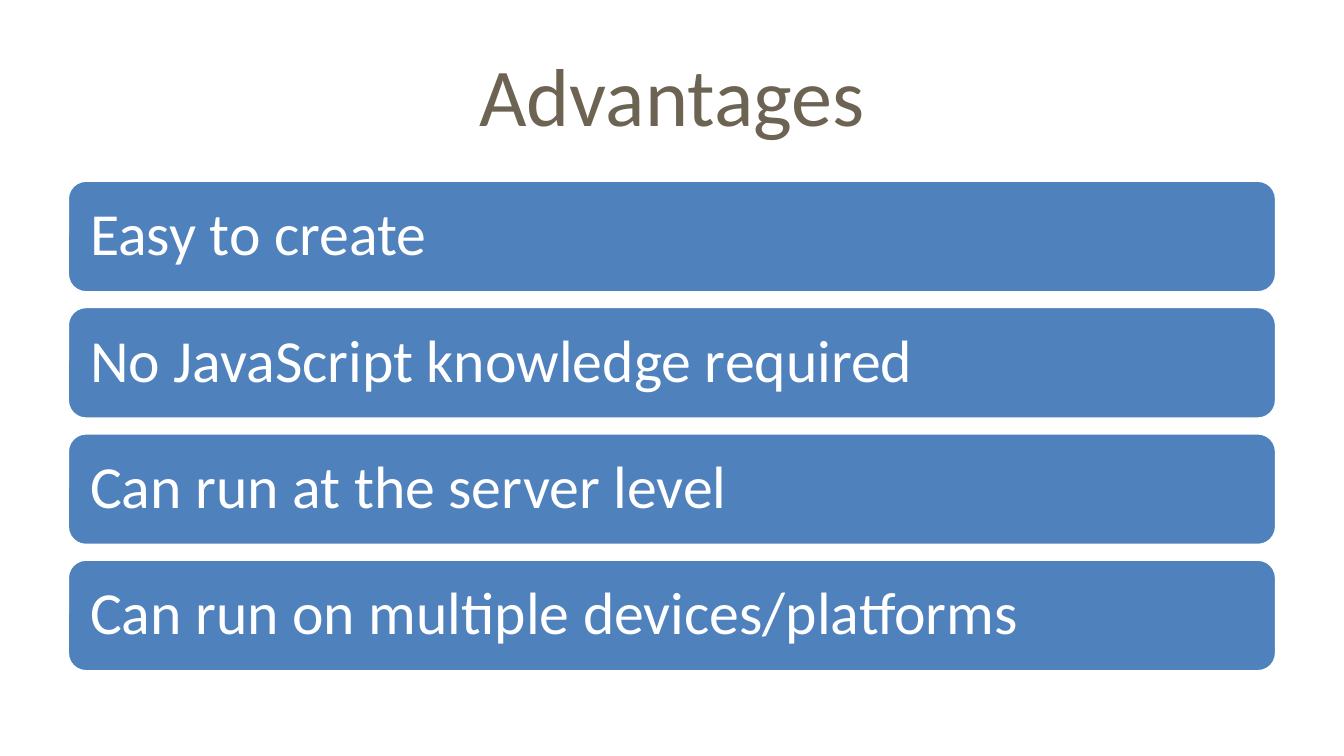
"""Build the Advantages slide: a title above four stacked bars."""
from dataclasses import dataclass

from pptx import Presentation
from pptx.dml.color import RGBColor
from pptx.enum.shapes import MSO_SHAPE
from pptx.enum.text import MSO_ANCHOR, PP_ALIGN
from pptx.util import Emu, Pt

FONT = "Calibri"
WHITE, BLUE, BROWN = "FFFFFF", "4F81BD", "6C6352"
LEFT, WIDTH = 100, 1800
TOP, HIGH, STEP = 268, 168, 188
INSET = 26
LINES = (
    "Easy to create",
    "No JavaScript knowledge required",
    "Can run at the server level",
    "Can run on multiple devices/platforms",
)


@dataclass(frozen=True)
class Bar:
    """A labelled bar and its top edge in px."""

    text: str
    top: int


def px(count: int) -> Emu:
    """Turn px, at 200 to the inch, into EMU."""
    return Emu(count * 4572)


def color(code: str) -> RGBColor:
    """Turn a hex string into a colour."""
    return RGBColor.from_string(code)


def write(shape, text: str, size: int, code: str, align: PP_ALIGN):
    """Set one vertically centred line of text and return its paragraph."""
    frame = shape.text_frame
    frame.word_wrap = True
    frame.vertical_anchor = MSO_ANCHOR.MIDDLE
    frame.text = text
    para = frame.paragraphs[0]
    para.alignment = align
    para.font.name = FONT
    para.font.size = Pt(size)
    para.font.color.rgb = color(code)
    return para


def add_title(slide, text: str) -> None:
    """Place and fill the title placeholder."""
    title = slide.shapes.title
    title.left, title.top = px(LEFT), px(46)
    title.width, title.height = px(WIDTH), px(188)
    write(title, text, 44, BROWN, PP_ALIGN.CENTER)


def add_bar(slide, bar: Bar) -> None:
    """Draw one rounded bar with its label."""
    shape = slide.shapes.add_shape(
        MSO_SHAPE.ROUNDED_RECTANGLE, px(LEFT), px(bar.top), px(WIDTH), px(HIGH)
    )
    shape.shadow.inherit = False
    shape.fill.solid()
    shape.fill.fore_color.rgb = color(BLUE)
    shape.line.color.rgb = color(WHITE)
    shape.line.width = Pt(2)
    frame = shape.text_frame
    frame.margin_left = frame.margin_right = px(INSET)
    frame.margin_top = frame.margin_bottom = px(INSET)
    para = write(shape, bar.text, 32, WHITE, PP_ALIGN.LEFT)
    para.line_spacing = 0.9


def main() -> None:
    """Build and save the slide."""
    deck = Presentation()
    deck.slide_width, deck.slide_height = px(2000), px(1125)
    slide = deck.slides.add_slide(deck.slide_layouts[5])
    add_title(slide, "Advantages")
    for row, text in enumerate(LINES):
        add_bar(slide, Bar(text, TOP + row * STEP))
    deck.save("out.pptx")


if __name__ == "__main__":
    main()
